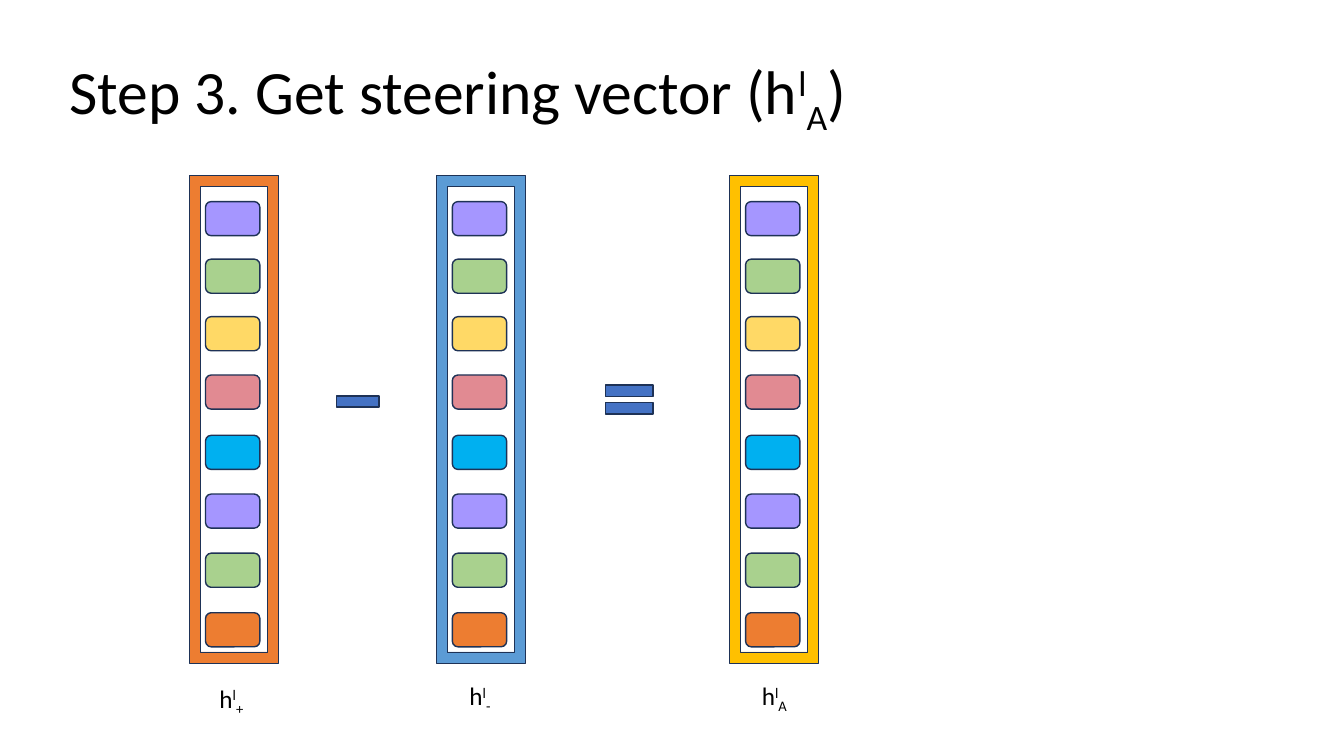
from pptx import Presentation
from pptx import util as u
from pptx.dml.color import RGBColor
from pptx.enum import shapes, text

COLORS = {
    "ink": "000000", "outline": "1E3256", "operator": "4472C4",
    "violet": "A596FF", "green": "A9D18E", "yellow": "FFD966", "rose": "E18A92",
    "cyan": "00B0F0", "orange": "ED7D31", "blue": "5B9BD5", "gold": "FFC000",
}
CELLS = [
    (5.08, "violet"), (6.53, "green"), (7.98, "yellow"), (9.45, "rose"),
    (10.97, "cyan"), (12.45, "violet"), (13.94, "green"), (15.44, "orange"),
]
VECTORS = [
    (4.78, "orange", "+", 5.28, 17.09, 1.17),
    (11.0, "blue", "-", 11.58, 17.02, 1.07),
    (18.39, "gold", "A", 18.95, 17.02, 1.19),
]
SUPER, SUB = 30000, -25000
KIND = shapes.MSO_SHAPE


class SlideBuilder:
    """Draws styled elements on the current slide."""

    font = "Calibri"

    def __init__(self, slide):
        self.slide = slide

    def color(self, name):
        return RGBColor.from_string(COLORS[name])

    def add_runs(self, p, runs, size):
        for content, baseline in runs:
            r = p.add_run()
            r.text = content
            r.font.name = self.font
            r.font.size = u.Pt(size)
            r.font.color.rgb = self.color("ink")
            if baseline:
                r.font._element.set("baseline", str(baseline))

    def title(self, runs, left, top, width, height):
        sp = self.slide.shapes.title
        sp.left, sp.top = u.Cm(left), u.Cm(top)
        sp.width, sp.height = u.Cm(width), u.Cm(height)
        tf = sp.text_frame
        tf.auto_size = text.MSO_AUTO_SIZE.NONE
        tf.vertical_anchor = text.MSO_ANCHOR.MIDDLE
        p = tf.paragraphs[0]
        p.alignment = text.PP_ALIGN.LEFT
        p.line_spacing = 0.9
        self.add_runs(p, runs, 44)

    def shape(self, kind, fill, left, top, width, height, line=1):
        sp = self.slide.shapes.add_shape(
            kind, u.Cm(left), u.Cm(top), u.Cm(width), u.Cm(height))
        sp.shadow.inherit = False
        sp.fill.solid()
        sp.fill.fore_color.rgb = self.color(fill)
        sp.line.color.rgb = self.color("outline")
        sp.line.width = u.Pt(line)

    def label(self, runs, left, top, width):
        sp = self.slide.shapes.add_textbox(
            u.Cm(left), u.Cm(top), u.Cm(width), u.Cm(1.03))
        tf = sp.text_frame
        tf.word_wrap = False
        tf.auto_size = text.MSO_AUTO_SIZE.SHAPE_TO_FIT_TEXT
        self.add_runs(tf.paragraphs[0], runs, 18)

    def vector(self, left, frame_color):
        for top, fill in CELLS:
            self.shape(KIND.ROUNDED_RECTANGLE, fill, left + 0.4, top, 1.37, 0.86)
        self.shape(KIND.FRAME, frame_color, left, 4.42, 2.24, 12.29, line=0.5)


def main():
    prs = Presentation()
    prs.slide_width, prs.slide_height = u.Cm(33.87), u.Cm(19.05)
    s = SlideBuilder(prs.slides.add_slide(prs.slide_layouts[5]))
    s.title([("Step 3. Get steering vector (h", 0), ("l", SUPER), ("A", SUB), (")", 0)],
            1.5, 0.48, 30.89, 3.68)
    for left, frame_color, index, label_left, label_top, label_width in VECTORS:
        s.vector(left, frame_color)
        s.label([("h", 0), ("l", SUPER), (index, SUB)], label_left, label_top, label_width)
    s.shape(KIND.MATH_MINUS, "operator", 8.28, 9.53, 1.47, 1.17)
    s.shape(KIND.MATH_EQUAL, "operator", 15.04, 9.45, 1.63, 1.24)
    prs.save("out.pptx")


if __name__ == "__main__":
    main()
